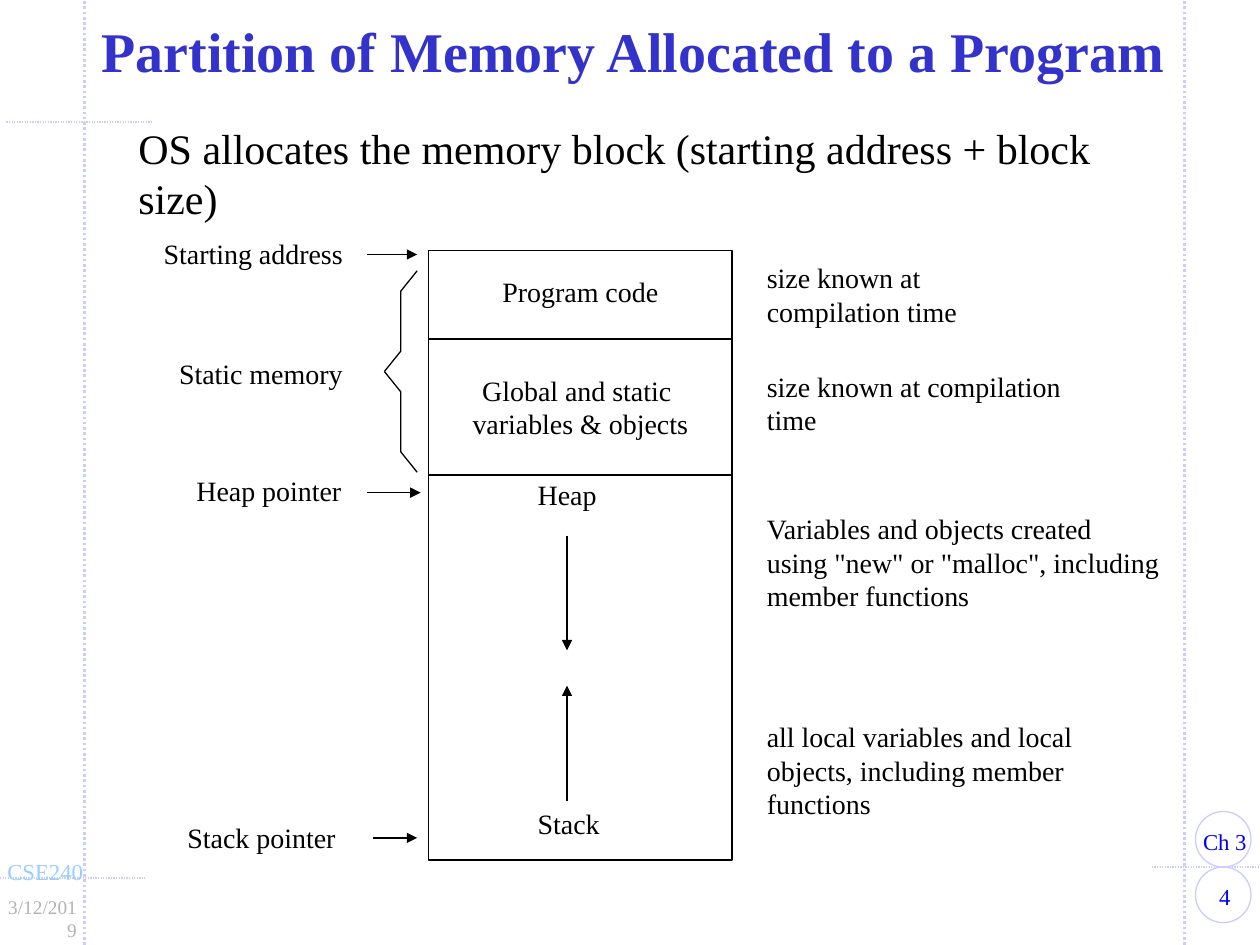
from collections import namedtuple

from lxml import etree
from pptx import Presentation
from pptx.dml.color import RGBColor
from pptx.enum import dml, shapes, text
from pptx.oxml import ns
from pptx.util import Cm, Pt

BLACK = RGBColor(0x00, 0x00, 0x00)
WHITE = RGBColor(0xFF, 0xFF, 0xFF)
TITLE_BLUE = RGBColor(0x33, 0x33, 0xCC)
PAGE_BLUE = RGBColor(0x00, 0x00, 0xFF)
LILAC = RGBColor(0xCC, 0xCC, 0xFF)
SKY = RGBColor(0x99, 0xCC, 0xFF)
GREY = RGBColor(0xB2, 0xB2, 0xB2)
FONT = "Times New Roman"
LEFT, CENTER, RIGHT = text.PP_ALIGN.LEFT, text.PP_ALIGN.CENTER, text.PP_ALIGN.RIGHT

Box = namedtuple("Box", "left top width height")  # centimetres


def write(frame, lines, size, color=BLACK, align=LEFT, bold=False, spacing=None):
    """Fill the first paragraph, one run per line."""
    paragraph = frame.paragraphs[0]
    paragraph.alignment = align
    paragraph.space_before = Pt(0)
    if spacing:
        paragraph.line_spacing = spacing
    for number, line in enumerate(lines.split("\n")):
        if number:
            paragraph.add_line_break()
        run = paragraph.add_run()
        run.text = line
        run.font.name, run.font.size, run.font.bold = FONT, Pt(size), bold
        run.font.color.rgb = color


def add_label(slide, box, words, size=16, color=BLACK, align=LEFT, wrap=True, inset=0.25):
    frame = slide.shapes.add_textbox(*map(Cm, box)).text_frame
    frame.word_wrap = wrap
    frame.margin_left = frame.margin_right = Cm(inset)
    write(frame, words, size, color, align)


def add_line(slide, start, end, color=BLACK, width=1.0, dotted=False, arrow=False):
    line = slide.shapes.add_connector(
        shapes.MSO_CONNECTOR.STRAIGHT, *map(Cm, (*start, *end)))
    line.line.color.rgb = color
    line.line.width = Pt(width)
    if dotted:
        line.line.dash_style = dml.MSO_LINE.ROUND_DOT
    if arrow:
        outline = line.line._get_or_add_ln()
        etree.SubElement(outline, ns.qn("a:tailEnd"), type="triangle")
    etree.SubElement(line._element.spPr, ns.qn("a:effectLst"))


def add_page_frame(slide, box):
    right, bottom = box.left + box.width, box.top + box.height

    # Dotted margin lines and corner ticks
    for x in (box.left + 1.7, right - 1.52):
        add_line(slide, (x, bottom), (x, box.top), LILAC, 1.5, dotted=True)
    for x1, x2, y in ((box.left, box.left + 2.92, bottom - 1.35),
                      (right - 2.18, right, bottom - 1.57),
                      (box.left + 0.13, box.left + 3.05, box.top + 2.46)):
        add_line(slide, (x1, y), (x2, y), LILAC, 0.75, dotted=True)

    # Chapter and page circles
    diameter = 1.12
    for row, words in enumerate(("Ch 3", "4")):
        top = bottom - 2.69 + row * diameter
        circle = slide.shapes.add_shape(
            shapes.MSO_SHAPE.OVAL,
            *map(Cm, (right - 1.3, top, diameter, diameter)))
        circle.shadow.inherit = False
        circle.fill.background()
        circle.line.color.rgb = LILAC
        circle.line.width = Pt(0.75)
        add_label(slide, Box(right - 1.42, top + 0.2, 1.42, 0.81), words, 13,
                  PAGE_BLUE, CENTER, wrap=False, inset=0.05)

    # Course and date
    add_label(slide, Box(box.left - 0.13, bottom - 1.88, 2.4, 0.81), "CSE240",
              13, SKY, wrap=False, inset=0.28)
    add_label(slide, Box(box.left - 0.28, bottom - 1.12, 2.11, 0.74), "3/12/2019",
              11, GREY, RIGHT, inset=0.28)


def add_heading(slide, box):
    title = slide.shapes.title
    title.left, title.top, title.width, title.height = map(
        Cm, (box.left, box.top, box.width, 1.78))
    frame = title.text_frame
    frame.auto_size = text.MSO_AUTO_SIZE.NONE
    frame.word_wrap = True
    frame.vertical_anchor = text.MSO_ANCHOR.MIDDLE
    write(frame, "Partition of Memory Allocated to a Program", 32, TITLE_BLUE,
          CENTER, bold=True, spacing=0.85)
    add_label(slide, Box(box.left + 0.97, box.top + 2.11, 20.8, 2.3),
              "OS allocates the memory block (starting address + block size)", 24)


def add_memory_blocks(slide, box):
    # Stacked segments
    segments = (("Program code", 1.78, 0.8),
                ("Global and static \nvariables & objects", 2.74, None),
                ("", box.height - 1.78 - 2.74, None))
    top = box.top
    for words, height, spacing in segments:
        segment = slide.shapes.add_shape(
            shapes.MSO_SHAPE.RECTANGLE, *map(Cm, (box.left, top, box.width, height)))
        segment.shadow.inherit = False
        segment.fill.solid()
        segment.fill.fore_color.rgb = WHITE
        segment.line.color.rgb = BLACK
        segment.line.width = Pt(1)
        if words:
            segment.text_frame.word_wrap = False
            segment.text_frame.vertical_anchor = text.MSO_ANCHOR.MIDDLE
            write(segment.text_frame, words, 16, align=CENTER, spacing=spacing)
        top += height

    # Heap and stack growing toward each other
    middle = box.left + 2.79
    for words, label_top, start, end in (("Heap", 4.45, 5.75, 8.06),
                                         ("Stack", 11.08, 11.1, 8.77)):
        add_label(slide, Box(box.left + 1.95, box.top + label_top, 1.78, 0.94),
                  words, wrap=False)
        add_line(slide, (middle, box.top + start), (middle, box.top + end), arrow=True)


def add_pointers(slide, box):
    # Labels
    for words, x, y in (("Starting address", 0, 0), ("Static memory", 0.31, 2.41),
                        ("Heap pointer", 0.66, 4.78), ("Stack pointer", 0.48, 11.76)):
        add_label(slide, Box(box.left + x, box.top + y, 4.14, 0.94), words, wrap=False)

    # Arrows to the memory blocks
    for x1, x2, y, width in ((4.34, 5.36, 0.48, 0.75), (4.34, 5.43, 5.28, 1),
                             (4.47, 5.36, 12.24, 1)):
        add_line(slide, (box.left + x1, box.top + y), (box.left + x2, box.top + y),
                 width=width, arrow=True)

    # Brace around static memory, mirrored about its tip
    tip_x, tip_y = box.left + 4.7, box.top + 2.84
    step, slant, reach = 0.33, 0.41, 2.03
    for side in (-1, 1):
        points = [(Cm(tip_x + x), Cm(tip_y + side * y)) for x, y in
                  ((2 * step, reach), (step, reach - slant), (step, slant), (0, 0))]
        builder = slide.shapes.build_freeform(*points[0])
        builder.add_line_segments(points[1:], close=False)
        brace = builder.convert_to_shape()
        brace.shadow.inherit = False
        brace.fill.background()
        brace.line.color.rgb = BLACK
        brace.line.width = Pt(0.75)


def add_notes_column(slide, box):
    for words, y, width, height in (
            ("size known at compilation time", 0, 6.05, 1.6),
            ("size known at compilation time", 2.19, 7.06, 1.63),
            ('Variables and objects created\nusing "new" or "malloc", including '
             "member functions", 5.06, box.width, 2.29),
            ("all local variables and local objects, including member functions",
             9.25, 7.75, 2.29)):
        add_label(slide, Box(box.left, box.top + y, width, height), words)


def main():
    deck = Presentation()
    deck.slide_width, deck.slide_height = Cm(25.4), Cm(19.05)
    slide = deck.slides.add_slide(deck.slide_layouts.get_by_name("Title Only"))
    add_page_frame(slide, Box(0, 0, 25.4, 19.05))
    add_heading(slide, Box(1.57, 0.23, 22.4, 4.4))
    add_memory_blocks(slide, Box(8.64, 5.05, 6.12, 12.29))
    add_pointers(slide, Box(3.05, 4.65, 5.43, 12.7))
    add_notes_column(slide, Box(15.21, 5.13, 9.78, 11.54))
    deck.save("out.pptx")


if __name__ == "__main__":
    main()
